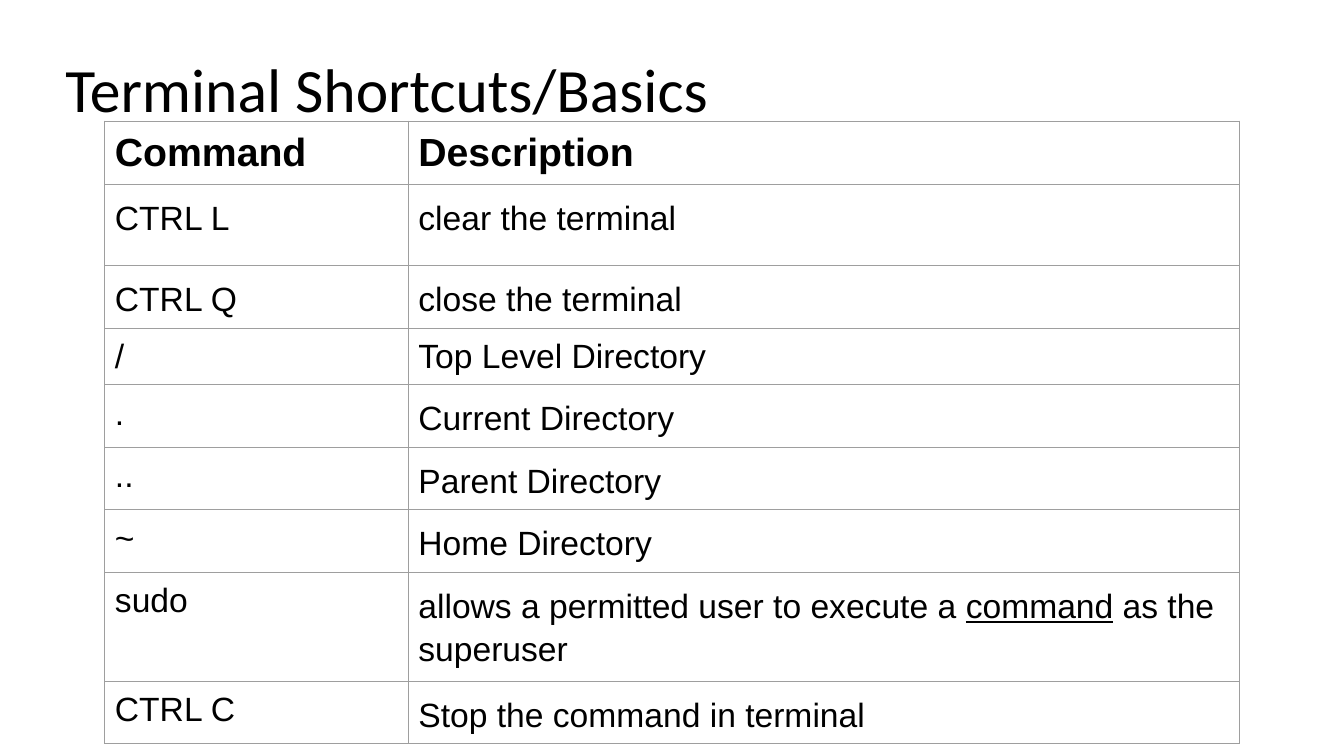
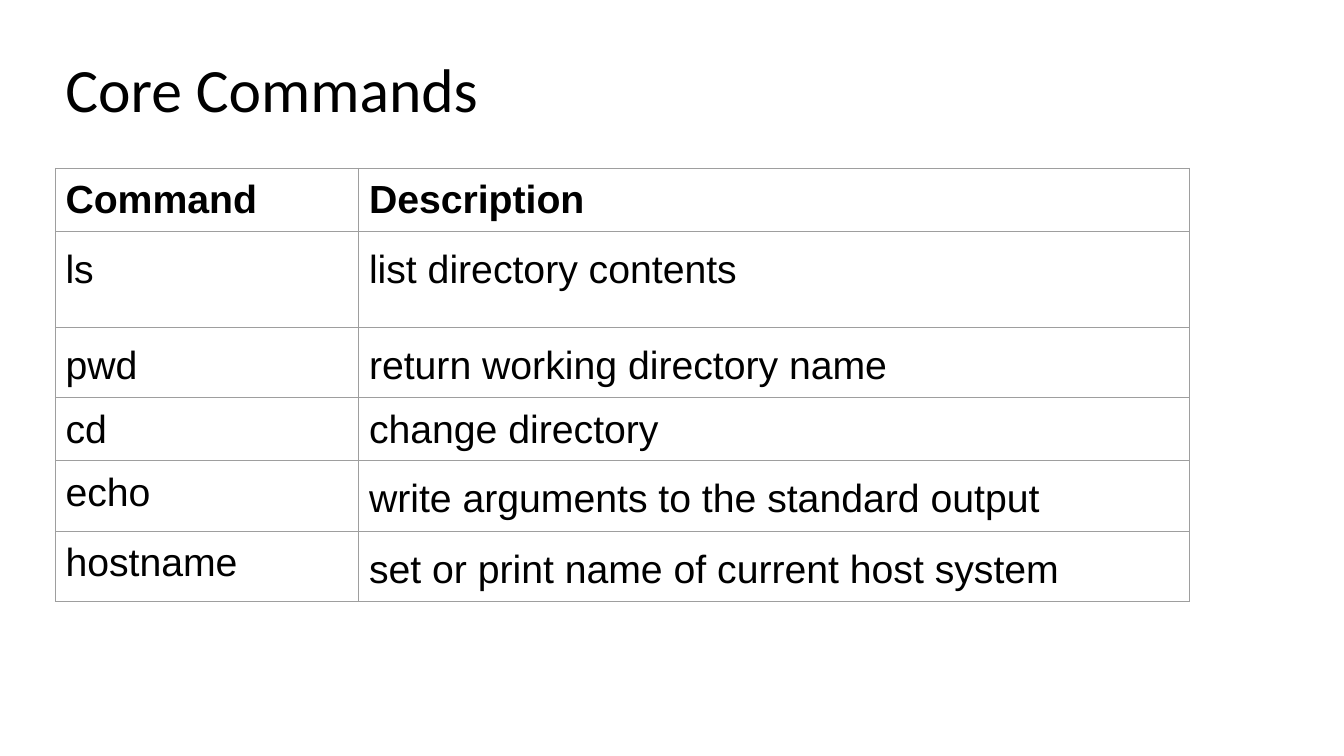
from lxml import etree
from pptx import Presentation
from pptx.dml.color import RGBColor
from pptx.enum.text import MSO_ANCHOR
from pptx.oxml.ns import qn
from pptx.util import Inches, Pt

MIDDLE = MSO_ANCHOR.MIDDLE
COLORS = {"text": "000000", "grid": "9E9E9E"}
TITLE_FONT, BODY_FONT = "Calibri", "Arial"
TITLE_BOX = (0.55, 0.09, 11.5, 1.45)
COLS = (3.01, 8.24)
ROW = 0.42
PAD, BASE_PAD = 0.1, 0.06
LOOSE = 1.15
HEAD = ("Command", "Description")
NONE, RIGHT, BOTH = (False, False), (False, True), (True, True)

BASICS = [
    ("CTRL L", "clear the terminal", BOTH),
    ("CTRL Q", "close the terminal", BOTH),
    ("/", "Top Level Directory", NONE),
    (".", "Current Directory", RIGHT),
    ("..", "Parent Directory", RIGHT),
    ("~", "Home Directory", RIGHT),
    ("sudo", ["allows a permitted user to execute a ", ("command", True),
              " as the superuser"], RIGHT),
    ("CTRL C", "Stop the command in terminal", RIGHT),
]
CORE = [
    ("ls", "list directory contents", BOTH),
    ("pwd", "return working directory name", BOTH),
    ("cd", "change directory", NONE),
    ("echo", "write arguments to the standard output", RIGHT),
    ("hostname", "set or print name of current host system", RIGHT),
]


def add_run(para, text, font, size, bold=False, under=False):
    """Add one styled run to a paragraph."""
    run = para.add_run()
    run.text = text
    run.font.name, run.font.size = font, Pt(size)
    run.font.bold, run.font.underline = bold, under
    run.font.color.rgb = RGBColor.from_string(COLORS["text"])


def add_title(slide, box, text):
    """Place the slide title in its box."""
    frame = slide.shapes.add_textbox(*map(Inches, box)).text_frame
    frame.word_wrap = True
    frame.vertical_anchor = MIDDLE
    para = frame.paragraphs[0]
    para.line_spacing = LOOSE
    add_run(para, text, TITLE_FONT, 44)


def add_edges(cell):
    """Draw a thin line on all four sides of a cell."""
    props = cell._tc.get_or_add_tcPr()
    for pos, side in enumerate(("lnL", "lnR", "lnT", "lnB")):
        line = etree.Element(qn("a:" + side), w=str(Pt(0.75)))
        fill = etree.SubElement(line, qn("a:solidFill"))
        etree.SubElement(fill, qn("a:srgbClr"), val=COLORS["grid"])
        props.insert(pos, line)


def fill_cell(cell, text, size, bold, loose):
    """Set the text, padding and edges of a cell."""
    cell.margin_left = cell.margin_right = cell.margin_top = Inches(PAD)
    cell.margin_bottom = Inches(BASE_PAD)
    cell.fill.background()
    add_edges(cell)
    para = cell.text_frame.paragraphs[0]
    if loose:
        para.line_spacing = LOOSE
    for part in [text] if isinstance(text, str) else text:
        words, under = (part, False) if isinstance(part, str) else part
        add_run(para, words, BODY_FONT, size, bold, under)


def add_grid(slide, left, top, rows, size, first):
    """Place a command table whose first body row has its own height."""
    rows = [(*HEAD, NONE), *rows]
    box = (left, top, sum(COLS), ROW * len(rows))
    table = slide.shapes.add_table(
        len(rows), len(COLS), *map(Inches, box)).table
    table.first_row = table.horz_banding = False
    for col, width in zip(table.columns, COLS):
        col.width = Inches(width)
    for i, (*texts, loose) in enumerate(rows):
        table.rows[i].height = Inches(first if i == 1 else ROW)
        for j, text in enumerate(texts):
            fill_cell(table.cell(i, j), text, size if i else 28,
                      i == 0, loose[j])


def add_page(deck, title, left, top, rows, size, first):
    """Add a slide with a title and a command table."""
    slide = deck.slides.add_slide(deck.slide_layouts[6])
    add_title(slide, TITLE_BOX, title)
    add_grid(slide, left, top, rows, size, first)


def main():
    """Build and save the deck."""
    deck = Presentation()
    deck.slide_width, deck.slide_height = Inches(13.33), Inches(7.5)
    add_page(deck, "Terminal Shortcuts/Basics", 1.04, 1.2, BASICS, 24, 0.81)
    add_page(deck, "Core Commands", 0.55, 1.67, CORE, 28, 0.95)
    deck.save("out.pptx")


if __name__ == "__main__":
    main()
